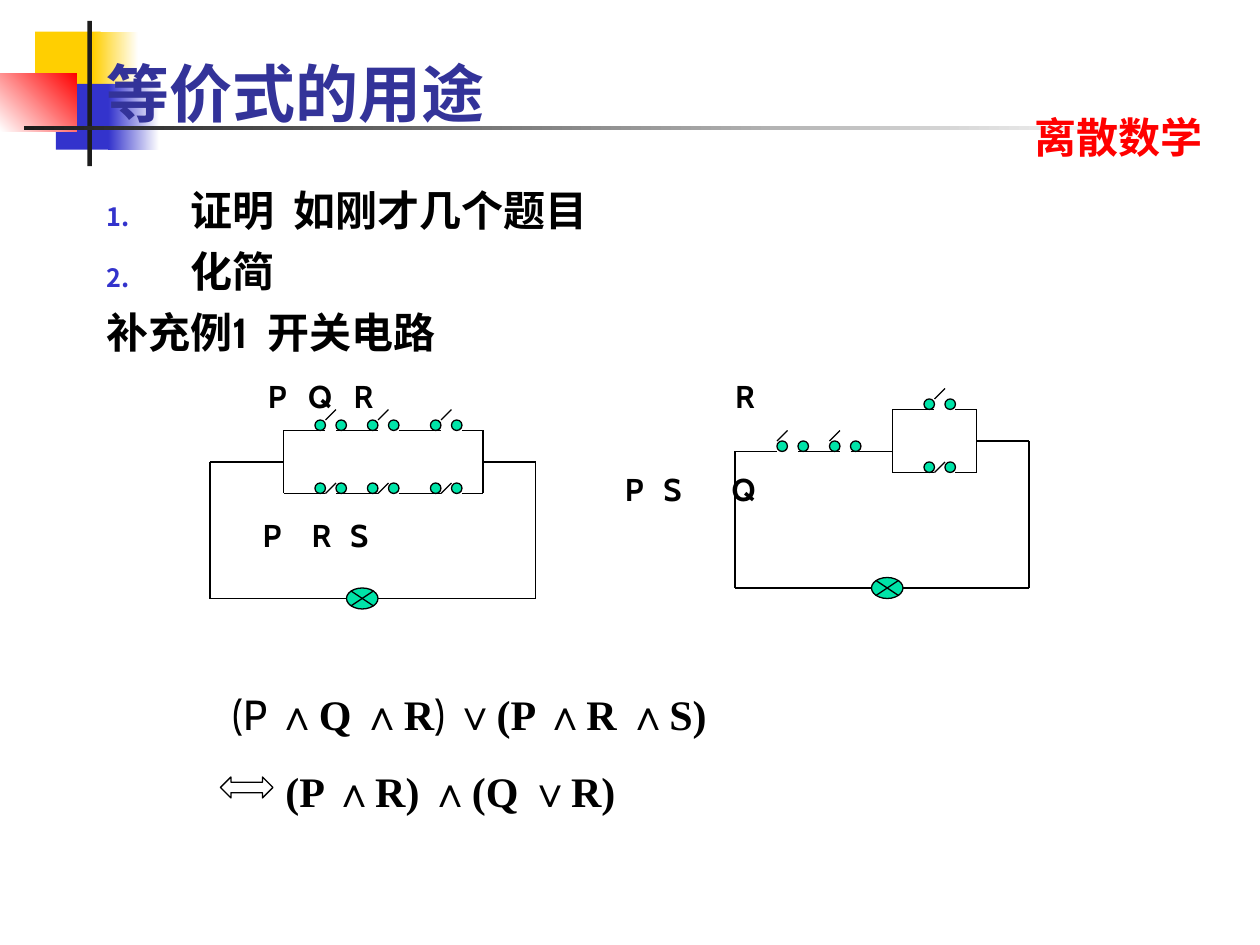
from lxml.etree import SubElement
from pptx import Presentation
from pptx.dml.color import RGBColor
from pptx.enum.shapes import MSO_CONNECTOR as Connector, MSO_SHAPE as Shape
from pptx.enum.text import MSO_ANCHOR as Anchor
from pptx.oxml.ns import qn
from pptx.util import Pt

COLORS = {"yellow": "FFCF01", "blue": "3333CC", "red": "FF0000", "dark": "1C1C1C",
          "white": "FFFFFF", "black": "000000", "title": "333399", "green": "00E4A8"}
RGB = {name: RGBColor.from_string(value) for name, value in COLORS.items()}
SANS, SERIF = "Cabin", "Times New Roman"

deck = Presentation()
deck.slide_width, deck.slide_height = Pt(720), Pt(540)
page = deck.slides.add_slide(deck.slide_layouts[6])


def add_block(kind, place, colors, angle=0, outline=False):
    block = page.shapes.add_shape(kind, *map(Pt, place))
    block.shadow.inherit = False
    if len(colors) == 1:
        block.fill.solid()
        block.fill.fore_color.rgb = RGB[colors[0]]
    else:
        block.fill.gradient()
        block.fill.gradient_angle = angle
        for stop, color in zip(block.fill.gradient_stops, colors):
            stop.color.rgb = RGB[color]
    if outline:
        block.line.color.rgb = RGB["black"]
        block.line.width = Pt(0.75)
    else:
        block.line.fill.background()


def add_text(place, paragraphs, color="black", anchor=Anchor.TOP):
    frame = page.shapes.add_textbox(*map(Pt, place)).text_frame
    frame.word_wrap = True
    frame.vertical_anchor = anchor
    for index, item in enumerate(paragraphs):
        para = frame.paragraphs[0] if index == 0 else frame.add_paragraph()
        properties = para._p.get_or_add_pPr()
        properties.set("marL", str(Pt(item.get("left", 0))))
        properties.set("indent", str(Pt(item.get("indent", 0))))
        if item.get("numbered"):
            bullet_color = SubElement(properties, qn("a:buClr"))
            SubElement(bullet_color, qn("a:srgbClr"), val=COLORS["blue"])
            SubElement(properties, qn("a:buSzPct"), val="60000")
            SubElement(properties, qn("a:buFont"), typeface=SANS)
            SubElement(properties, qn("a:buAutoNum"), type="arabicPeriod")
        if index:
            para.space_before = Pt(item["before"])
        for text, name, bold in item["spans"]:
            span = para.add_run()
            span.text = text
            style = {"name": name, "size": Pt(item.get("size", 24)), "bold": bold}
            for attribute, value in style.items():
                setattr(span.font, attribute, value)
            span.font.color.rgb = RGB[color]


for place, colors, angle in [
    ((20, 18, 37.5, 37.5), ["yellow"], 0),
    ((53, 18, 26, 37.5), ["white", "yellow"], 180),
    ((32, 48, 33, 37.5), ["blue"], 0),
    ((62, 48, 29, 37.5), ["white", "blue"], 180),
    ((0, 42, 44, 33), ["red", "white"], 225),
    ((50, 12, 2.5, 83), ["dark"], 0),
    ((14, 72, 648, 2.3), ["white", "dark"], 180),
]:
    add_block(Shape.RECTANGLE, place, colors, angle)

add_text((584, 60, 210, 36), [{"spans": [("离散数学", SANS, True)]}], "red")
add_text((54, 18, 576, 60), [{"spans": [("等价式的用途", SANS, True)], "size": 36}],
         "title", Anchor.BOTTOM)

hanging = {"left": 48, "indent": -48, "before": 6}
add_text((54, 102, 612, 108), [
    {"spans": [("证明  如刚才几个题目", SANS, True)], "numbered": True, **hanging},
    {"spans": [("化简", SANS, True)], "numbered": True, **hanging},
    {"spans": [("补充例1  开关电路", SANS, True)], **hanging},
])
for labels, lefts, top in [
    ("PQRR", (146, 169, 195, 413), 211.6),
    ("PSQ", (350, 372, 411), 264.8),
    ("PRS", (143, 171, 193), 291.4),
]:
    for label, left in zip(labels, lefts):
        add_text((left, top, 32, 29), [{"spans": [(label, SANS, True)], "size": 18}])

wires = [
    (120, 264, 120, 342), (120, 342, 306, 342), (306, 264, 306, 342),
    (120, 264, 162, 264), (276, 264, 306, 264),
    (162, 246, 162, 282), (276, 246, 276, 282),
    (420, 258, 420, 336), (420, 336, 588, 336), (588, 252, 588, 336),
    (420, 258, 444, 258), (456, 258, 480, 258), (486, 258, 510, 258),
    (510, 234, 510, 270), (558, 234, 558, 270), (558, 252, 588, 252),
]
switches = []
for y, lift in [(246, 6), (282, 0)]:
    for start, end in [(162, 186), (192, 216), (228, 252), (264, 276)]:
        wires.append((start, y, end, y))
    for x in (180, 210, 246):
        switches.append((x, y))
        wires.append((x + 6, y - lift, x + 12, y - lift - 6))
for x in (444, 474):
    switches.append((x, 258))
    wires.append((x, 252, x + 6, 246))
for y, lift in [(234, 6), (270, 0)]:
    switches.append((528, y))
    wires += [(510, y, 534, y), (546, y, 558, y),
              (534, y - lift, 540, y - lift - 6)]

for wire in wires:
    line = page.shapes.add_connector(Connector.STRAIGHT, *map(Pt, wire))
    line.line.color.rgb = RGB["black"]
    line.line.width = Pt(0.75)
    SubElement(line._element.spPr, qn("a:effectLst"))
for x, y in switches:
    for left in (x, x + 12):
        add_block(Shape.OVAL, (left, y - 6, 6, 6), ["green"], outline=True)
for x, y in [(198, 336), (498, 330)]:
    add_block(Shape.FLOWCHART_SUMMING_JUNCTION, (x, y, 18, 12), ["green"], outline=True)

add_text((126, 390, 306, 80), [
    {"spans": [("(P ", SANS, False), ("∧Q ∧R", SERIF, True),
               (") ", SANS, False), ("∨(P ∧R ∧S)", SERIF, True)]},
    {"spans": [("(P ∧R) ∧(Q ∨R)", SERIF, True)], "left": 30, "before": 15},
])
add_block(Shape.LEFT_RIGHT_ARROW, (126, 444, 30, 12), ["white"], outline=True)

deck.save("out.pptx")
